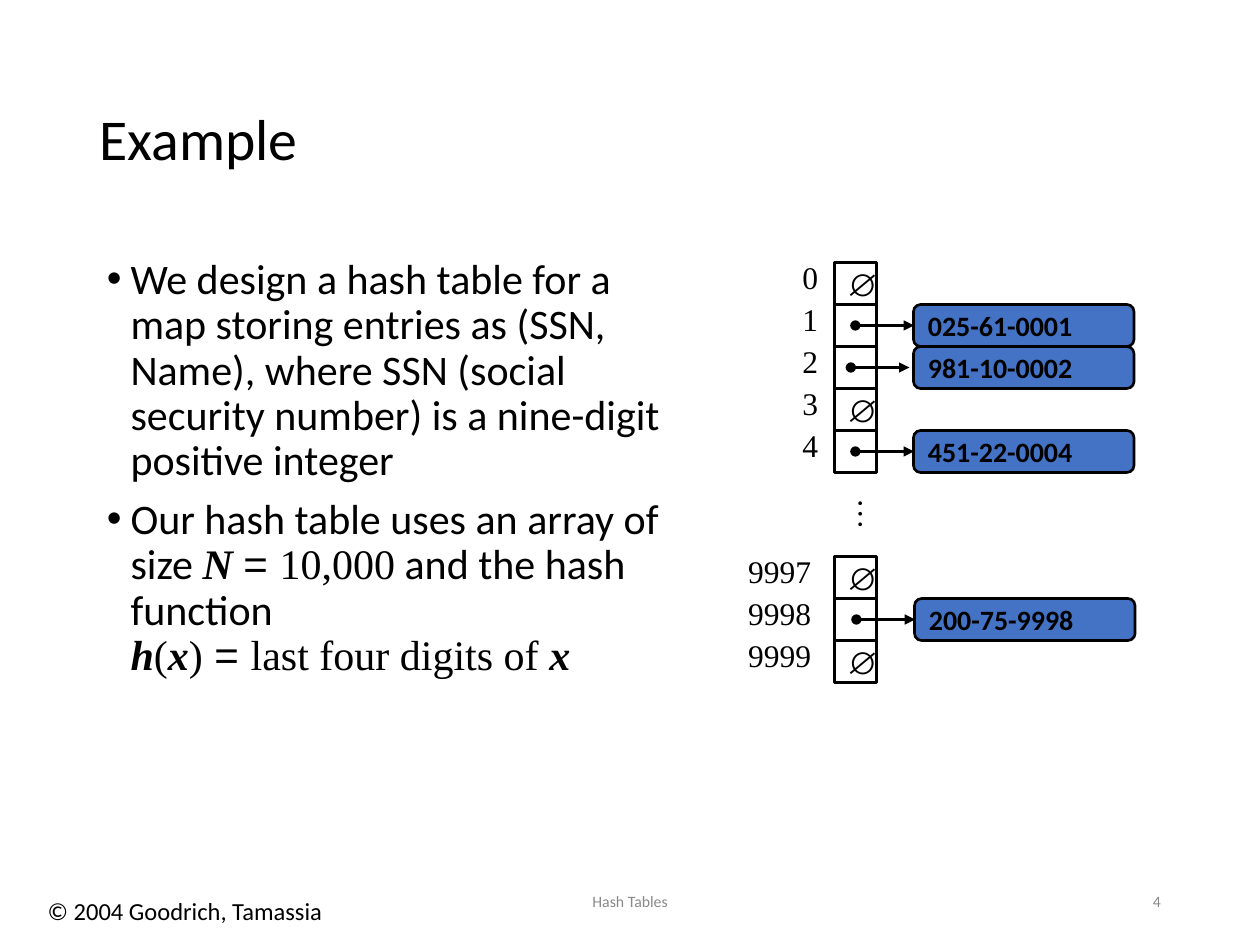
from lxml.etree import SubElement
from pptx import Presentation
from pptx.dml.color import RGBColor
from pptx.enum.shapes import MSO_CONNECTOR, MSO_SHAPE
from pptx.enum.text import MSO_ANCHOR, MSO_AUTO_SIZE, PP_ALIGN
from pptx.oxml.ns import qn
from pptx.util import Pt

BLACK, GRAY, BLUE = "000000", "898989", "4472C4"
SANS, SERIF, SYMBOL = "Calibri", "Times New Roman", "Arial"
ROW = 24
ARRAY_TOP, ARRAY_LEFT = 150, 476.8
EMPTY = "∅"

# Row in the drawing, index label, entry key (or EMPTY), shift of the arrow, left of the entry
SLOTS = [
    (0, "0", EMPTY, 0, 0),
    (1, "1", "025-61-0001", 0, 522),
    (2, "2", "981-10-0002", -2.6, 522),
    (3, "3", EMPTY, 0, 0),
    (4, "4", "451-22-0004", 0, 522),
    (7, "9997", EMPTY, 0, 0),
    (8, "9998", "200-75-9998", 0.6, 522.6),
    (9, "9999", EMPTY, 0, 0),
]

BODY = [
    [("We design a hash table for a map storing entries as (SSN, Name), where SSN "
      "(social security number) is a nine-digit positive integer", {})],
    [("Our hash table uses an array of size ", {}),
     ("N ", {"font": SERIF, "bold": True, "italic": True}),
     ("= ", {"font": SYMBOL}),
     ("10,000", {"font": SERIF}),
     (" and the hash function", {}),
     None,
     ("h", {"font": SERIF, "bold": True, "italic": True}),
     ("(", {"font": SERIF}),
     ("x", {"font": SERIF, "bold": True, "italic": True}),
     (")", {"font": SERIF}),
     (" = ", {"font": SYMBOL}),
     ("last four digits of ", {"font": SERIF}),
     ("x", {"font": SERIF, "bold": True, "italic": True})],
]


def rgb(color):
    return RGBColor.from_string(color)


def add_span(para, text, size=18, font=SANS, color=BLACK, bold=False, italic=False):
    span = para.add_run()
    span.text = text
    span.font.size = Pt(size)
    span.font.name = font
    span.font.bold = bold
    span.font.italic = italic
    span.font.color.rgb = rgb(color)


def set_text(box, text, align=PP_ALIGN.LEFT, anchor=MSO_ANCHOR.TOP, wrap=False, **style):
    frame = box.text_frame
    frame.word_wrap = wrap
    frame.auto_size = MSO_AUTO_SIZE.NONE
    frame.vertical_anchor = anchor
    para = frame.paragraphs[0]
    para.alignment = align
    add_span(para, text, **style)
    return para


def add_text(page, text, left, top, width, height, **style):
    box = page.shapes.add_textbox(Pt(left), Pt(top), Pt(width), Pt(height))
    set_text(box, text, **style)
    return box


def add_box(page, kind, left, top, width, fill=None):
    box = page.shapes.add_shape(kind, Pt(left), Pt(top), Pt(width), Pt(ROW))
    box.shadow.inherit = False
    if fill:
        box.fill.solid()
        box.fill.fore_color.rgb = rgb(fill)
    else:
        box.fill.background()
    box.line.color.rgb = rgb(BLACK)
    box.line.width = Pt(1.5)
    return box


def add_pointer(page, left, right, y):
    """Arrow that starts in a dot."""
    pointer = page.shapes.add_connector(
        MSO_CONNECTOR.STRAIGHT, Pt(left), Pt(y), Pt(right), Pt(y))
    pointer.line.color.rgb = rgb(BLACK)
    pointer.line.width = Pt(1.5)
    line = pointer.line._get_or_add_ln()
    SubElement(line, qn("a:headEnd"), type="oval")
    SubElement(line, qn("a:tailEnd"), type="triangle")
    SubElement(pointer._element.spPr, qn("a:effectLst"))


def add_title(page, text):
    title = page.shapes.title
    title.left, title.top, title.width, title.height = Pt(49.5), Pt(28.8), Pt(621), Pt(104.4)
    para = set_text(title, text, anchor=MSO_ANCHOR.MIDDLE, wrap=True, size=33)
    para.line_spacing = 0.9


def add_bullets(page, paragraphs):
    frame = page.shapes.add_textbox(Pt(54), Pt(144), Pt(342), Pt(348)).text_frame
    frame.word_wrap = True
    for number, spans in enumerate(paragraphs):
        para = frame.add_paragraph() if number else frame.paragraphs[0]
        para.line_spacing = 0.9
        para.space_before = Pt(7.5)
        properties = para._p.get_or_add_pPr()
        properties.set("marL", str(Pt(13.5)))
        properties.set("indent", str(-Pt(13.5)))
        SubElement(properties, qn("a:buFont"), typeface=SYMBOL)
        SubElement(properties, qn("a:buChar"), char="•")
        for span in spans:
            if span is None:
                para.add_line_break()
            else:
                add_span(para, span[0], size=24, **span[1])


def add_slot(page, row, label, key, shift, entry_left):
    """One array cell with its index and the entry it points to."""
    top = ARRAY_TOP + row * ROW
    cell = add_box(page, MSO_SHAPE.RECTANGLE, ARRAY_LEFT, top, ROW)
    left, width = (451.4, 23) if len(label) == 1 else (420.5, 50.4)
    add_text(page, label, left, top - 6, width, 29, font=SERIF)
    if key == EMPTY:
        set_text(cell, EMPTY, anchor=MSO_ANCHOR.MIDDLE, font=SYMBOL)
        return
    entry = add_box(page, MSO_SHAPE.ROUNDED_RECTANGLE, entry_left, top, 126, BLUE)
    set_text(entry, key, anchor=MSO_ANCHOR.MIDDLE, size=16, bold=True)
    start = ARRAY_LEFT + ROW / 2 + shift
    add_pointer(page, start, start + 33.5, top + ROW / 2)


def main():
    deck = Presentation()
    deck.slide_width, deck.slide_height = Pt(720), Pt(540)
    page = deck.slides.add_slide(deck.slide_layouts[5])
    add_title(page, "Example")
    add_bullets(page, BODY)
    for slot in SLOTS:
        add_slot(page, *slot)
    dots = add_text(page, "…", 481.7, 279.4, 32.4, 29, font=SERIF)
    dots.rotation = 90
    add_text(page, "© 2004 Goodrich, Tamassia", 20.2, 508.3, 172, 24.5, size=14)
    footer = {"anchor": MSO_ANCHOR.MIDDLE, "wrap": True, "size": 9, "color": GRAY}
    add_text(page, "Hash Tables", 238.5, 500.5, 243, 28.75, align=PP_ALIGN.CENTER, **footer)
    add_text(page, "4", 508.5, 500.5, 162, 28.75, align=PP_ALIGN.RIGHT, **footer)
    deck.save("out.pptx")


if __name__ == "__main__":
    main()
